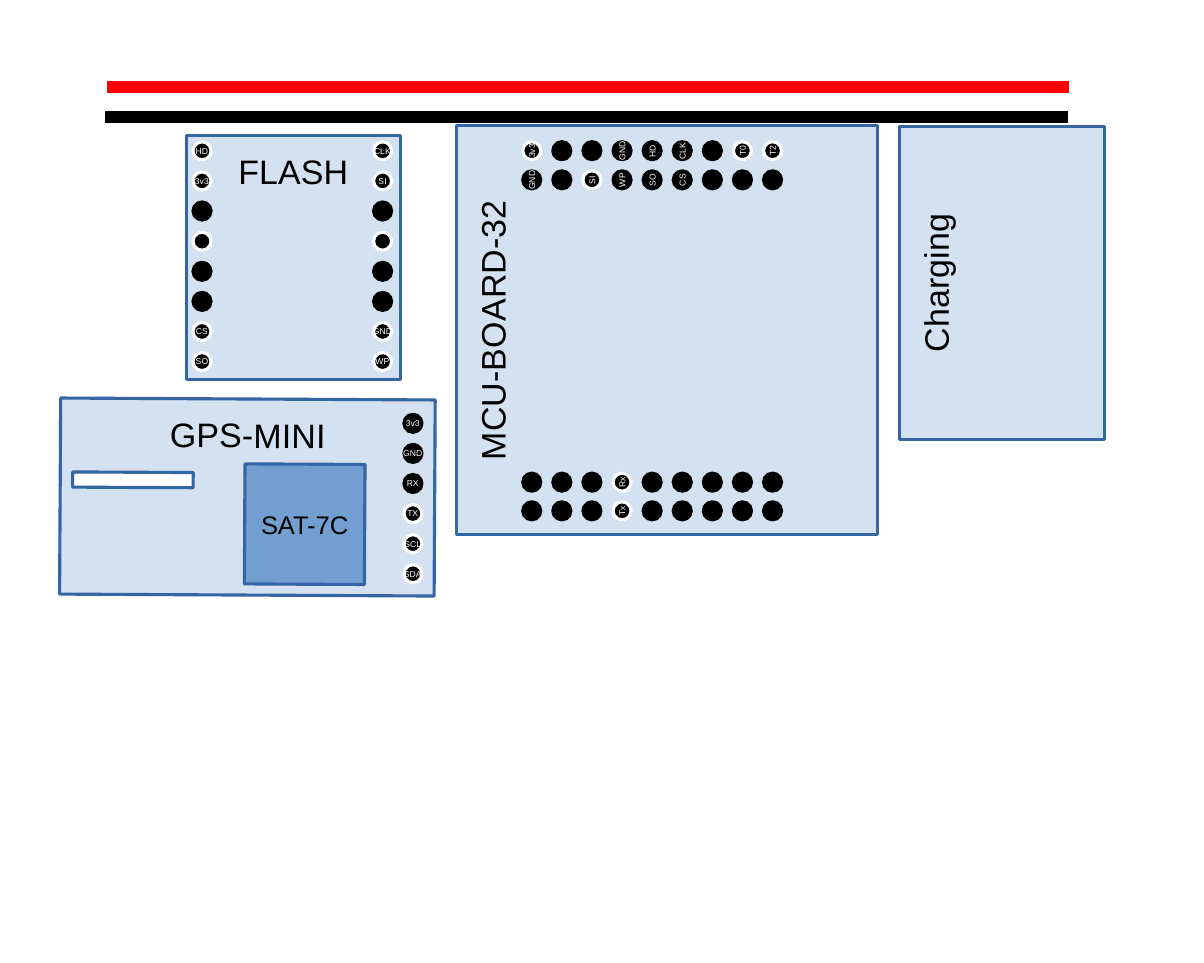
from dataclasses import dataclass

from lxml.etree import SubElement
from pptx import Presentation
from pptx.dml.color import RGBColor
from pptx.enum.shapes import MSO_CONNECTOR, MSO_SHAPE
from pptx.enum.text import MSO_ANCHOR as Anchor, PP_ALIGN
from pptx.oxml.ns import qn
from pptx.shapes.autoshape import Shape
from pptx.shapes.shapetree import GroupShapes, SlideShapes
from pptx.util import Pt

BLACK = RGBColor(0x00, 0x00, 0x00)
WHITE = RGBColor(0xFF, 0xFF, 0xFF)
RED = RGBColor(0xFF, 0x00, 0x00)
BLUE = RGBColor(0x72, 0x9F, 0xCF)
BORDER = RGBColor(0x34, 0x65, 0xA4)

PIN_SIZE = 4.25
PIN_PITCH = 7.09
BOARD_OPACITY = 31


@dataclass(frozen=True)
class Block:
    center_x: float
    center_y: float
    width: float
    height: float
    label: str = ""
    rotation: float = 0
    fill: RGBColor = BLUE
    opacity: int = 100
    font_size: float = 8
    anchor: Anchor = Anchor.TOP


@dataclass(frozen=True)
class PinRow:
    first_x: float
    first_y: float
    labels: tuple[str, ...]
    ringed: frozenset[int]
    vertical: bool = False


@dataclass(frozen=True)
class Module:
    board: Block
    pin_rows: tuple[PinRow, ...] = ()
    components: tuple[Block, ...] = ()


@dataclass(frozen=True)
class Rail:
    left: float
    right: float
    y: float
    color: RGBColor


FLASH = Module(
    Block(69.1, 60.65, 50.4, 57.5, "FLASH", opacity=BOARD_OPACITY),
    (
        PinRow(47.6, 35.55, ("HD", "3v3", "", "", "", "", "CS", "SO"),
               frozenset({0, 1, 3, 6, 7}), vertical=True),
        PinRow(90.1, 35.55, ("CLK", "SI", "", "", "", "", "GND", "WP"),
               frozenset({0, 1, 3, 6, 7}), vertical=True),
    ),
)
CONTROLLER = Module(
    Block(157.15, 77.75, 96.4, 99.2, "MCU-BOARD-32", 270, opacity=BOARD_OPACITY),
    (
        PinRow(125.22, 120.3, ("", "", "", "Tx", "", "", "", "", ""), frozenset({3})),
        PinRow(125.22, 113.55, ("", "", "", "Rx", "", "", "", "", ""), frozenset({3})),
        PinRow(125.22, 42.35, ("GND", "", "SI", "WP", "SO", "CS", "", "", ""),
               frozenset({2})),
        PinRow(125.22, 35.5, ("3v3", "", "", "GND", "HD", "CLK", "", "T0", "T2"),
               frozenset({0, 7, 8})),
    ),
)
RECEIVER = Module(
    Block(58.3, 117.1, 88.2, 46.2, "GPS-MINI", 0.3, opacity=BOARD_OPACITY),
    (
        PinRow(97.25, 99.7, ("3v3", "GND", "RX", "TX", "SCL", "SDA"),
               frozenset({3, 4, 5}), vertical=True),
    ),
    (
        Block(71.75, 123.5, 28.3, 28.3, "SAT-7C", 0.3, font_size=6, anchor=Anchor.MIDDLE),
        Block(31.35, 113.05, 28.4, 3.6, rotation=0.3, fill=WHITE),
    ),
)
CHARGER = Module(
    Block(236.05, 66.65, 73.75, 48.3, "Charging", 270, opacity=BOARD_OPACITY),
)
RAILS = (Rail(25.2, 251.7, 20.6, RED), Rail(24.8, 251.4, 27.65, BLACK))


def write_text(shape: Shape, text: str, *, size: float, color: RGBColor,
               anchor: Anchor, margin_y: float) -> None:
    frame = shape.text_frame
    frame.word_wrap = False
    frame.vertical_anchor = anchor
    frame.margin_left = frame.margin_right = Pt(7.2)
    frame.margin_top = frame.margin_bottom = Pt(margin_y)
    paragraph = frame.paragraphs[0]
    paragraph.alignment = PP_ALIGN.CENTER
    run = paragraph.add_run()
    run.text = text
    run.font.name = "Arial"
    run.font.size = Pt(size)
    run.font.color.rgb = color


def add_figure(shapes: GroupShapes | SlideShapes, kind: MSO_SHAPE, block: Block,
               border: RGBColor) -> Shape:
    shape = shapes.add_shape(
        kind,
        Pt(block.center_x - block.width / 2), Pt(block.center_y - block.height / 2),
        Pt(block.width), Pt(block.height),
    )
    shape.rotation = block.rotation
    shape.shadow.inherit = False
    shape.fill.solid()
    shape.fill.fore_color.rgb = block.fill
    if block.opacity < 100:
        color = shape._element.spPr.find(qn("a:solidFill"))[0]
        SubElement(color, qn("a:alpha")).set("val", str(block.opacity * 1000))
    shape.line.color.rgb = border
    shape.line.width = Pt(0)
    return shape


def add_block(shapes: GroupShapes | SlideShapes, block: Block) -> None:
    shape = add_figure(shapes, MSO_SHAPE.RECTANGLE, block, BORDER)
    if block.label:
        write_text(shape, block.label, size=block.font_size, color=BLACK,
                   anchor=block.anchor, margin_y=3.6)


def add_pins(shapes: GroupShapes, row: PinRow, rotation: float) -> None:
    for index, label in enumerate(row.labels):
        offset = index * PIN_PITCH
        pin = Block(
            row.first_x + (0 if row.vertical else offset),
            row.first_y + (offset if row.vertical else 0),
            PIN_SIZE, PIN_SIZE, rotation=rotation, fill=BLACK,
        )
        border = WHITE if index in row.ringed else BLACK
        shape = add_figure(shapes, MSO_SHAPE.OVAL, pin, border)
        if label:
            write_text(shape, label, size=2, color=WHITE,
                       anchor=Anchor.MIDDLE, margin_y=-0.72)


def add_module(shapes: SlideShapes, module: Module) -> None:
    members = shapes.add_group_shape().shapes if module.pin_rows else shapes
    add_block(members, module.board)
    for row in module.pin_rows:
        add_pins(members, row, module.board.rotation)
    for component in module.components:
        add_block(members, component)


def add_rail(shapes: SlideShapes, rail: Rail) -> None:
    connector = shapes.add_connector(
        MSO_CONNECTOR.STRAIGHT, Pt(rail.left), Pt(rail.y), Pt(rail.right), Pt(rail.y))
    connector.line.color.rgb = rail.color
    connector.line.width = Pt(2.83)
    SubElement(connector._element.spPr, qn("a:effectLst"))


def main() -> None:
    presentation = Presentation()
    presentation.slide_width = Pt(283.5)
    presentation.slide_height = Pt(226.8)
    slide = presentation.slides.add_slide(presentation.slide_layouts[6])
    for module in (FLASH, CONTROLLER):
        add_module(slide.shapes, module)
    for rail in RAILS:
        add_rail(slide.shapes, rail)
    for module in (RECEIVER, CHARGER):
        add_module(slide.shapes, module)
    presentation.save("out.pptx")


if __name__ == "__main__":
    main()
